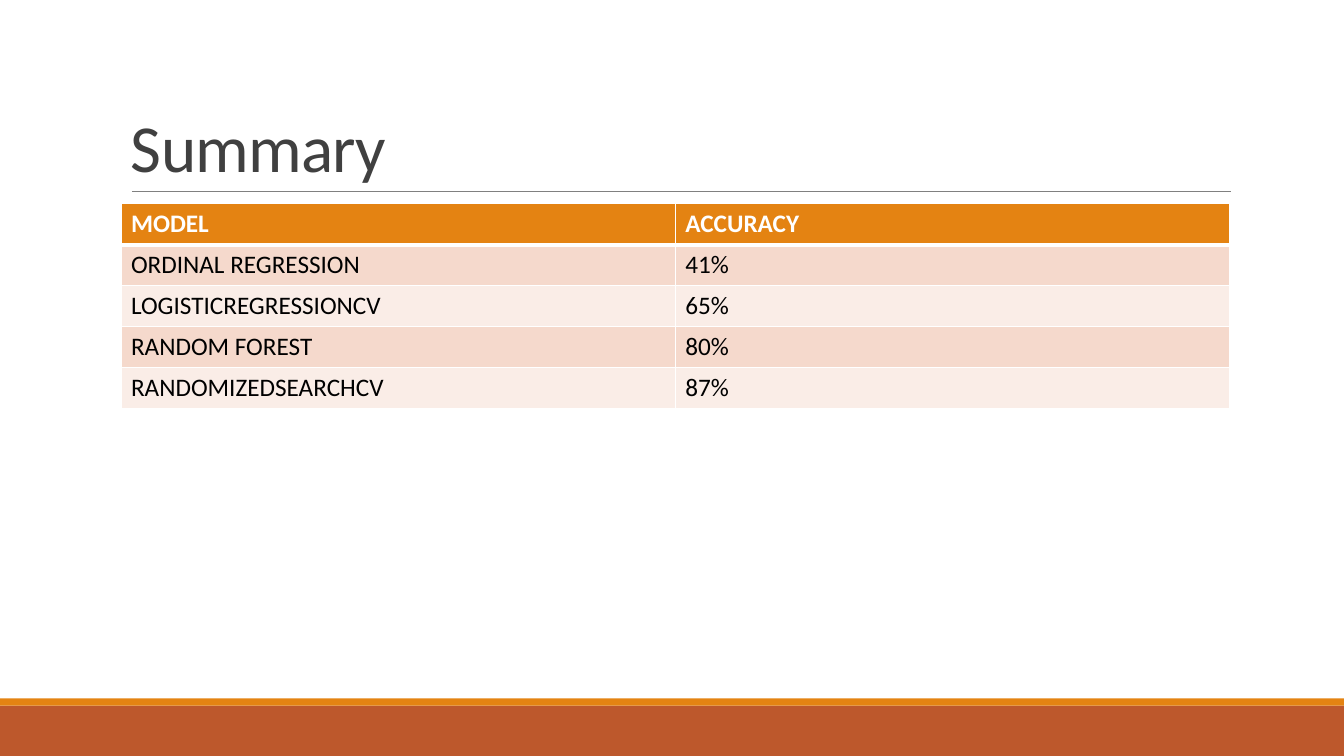
from lxml import etree
from pptx import Presentation
from pptx.dml.color import RGBColor
from pptx.enum import shapes, text
from pptx.oxml import ns
from pptx.util import Pt

WHITE = RGBColor(0xFF, 0xFF, 0xFF)
BLACK = RGBColor(0, 0, 0)
DARK = RGBColor(0x40, 0x40, 0x40)
GREY = RGBColor(0x80, 0x80, 0x80)
ORANGE = RGBColor(0xE4, 0x83, 0x12)
RUST = RGBColor(0xBD, 0x58, 0x2C)
BANDS = [RGBColor(0xFA, 0xED, 0xE7), RGBColor(0xF5, 0xD9, 0xCC)]


def write(tf, words, size, color, bold=False, spacing=None, line_spacing=None):
    p = tf.paragraphs[0]
    if line_spacing:
        p.line_spacing = line_spacing
    r = p.add_run()
    r.text = words
    r.font.name = "Calibri"
    r.font.size = Pt(size)
    r.font.bold = bold
    r.font.color.rgb = color
    if spacing:
        r.font._element.set("spc", str(int(spacing * 100)))


def add_border(cell, side, color, width):
    ln = etree.SubElement(cell._tc.get_or_add_tcPr(), ns.qn(f"a:ln{side}"), w=str(Pt(width)))
    fill = etree.SubElement(ln, ns.qn("a:solidFill"))
    etree.SubElement(fill, ns.qn("a:srgbClr"), val=str(color))


prs = Presentation()
prs.slide_width, prs.slide_height = Pt(960), Pt(540)
s = prs.slides.add_slide(prs.slide_layouts[6])

# Footer bands
for top, height, color in [(504, 36, RUST), (498.8, 5.2, ORANGE)]:
    sp = s.shapes.add_shape(shapes.MSO_SHAPE.RECTANGLE, 0, Pt(top), prs.slide_width, Pt(height))
    sp.shadow.inherit = False
    sp.fill.solid()
    sp.fill.fore_color.rgb = color
    sp.line.fill.background()

# Rule under the title
rule = s.shapes.add_connector(shapes.MSO_CONNECTOR.STRAIGHT, Pt(94.3), Pt(136.8), Pt(879), Pt(136.8))
rule.line.color.rgb = GREY
rule.line.width = Pt(0.5)
etree.SubElement(rule._element.spPr, ns.qn("a:effectLst"))

# Title
title = s.shapes.add_textbox(Pt(86.4), Pt(22.6), Pt(792), Pt(114.2))
tf = title.text_frame
tf.word_wrap = True
tf.vertical_anchor = text.MSO_ANCHOR.BOTTOM
write(tf, "Summary", 48, DARK, spacing=-0.5, line_spacing=0.85)

# Accuracy table
rows = [
    ("MODEL", "ACCURACY"),
    ("ORDINAL REGRESSION", "41%"),
    ("LOGISTICREGRESSIONCV", "65%"),
    ("RANDOM FOREST", "80%"),
    ("RANDOMIZEDSEARCHCV", "87%"),
]
table = s.shapes.add_table(len(rows), 2, Pt(86.4), Pt(145.6), Pt(792), Pt(146)).table
for i, row in enumerate(rows):
    header = i == 0
    for j, words in enumerate(row):
        cell = table.cell(i, j)
        for side in "LRTB":
            thick = (side == "B" and header) or (side == "T" and i == 1)
            add_border(cell, side, WHITE, 3 if thick else 1)
        cell.fill.solid()
        cell.fill.fore_color.rgb = ORANGE if header else BANDS[i % 2]
        write(cell.text_frame, words, 18, WHITE if header else BLACK, bold=header)

prs.save("out.pptx")
